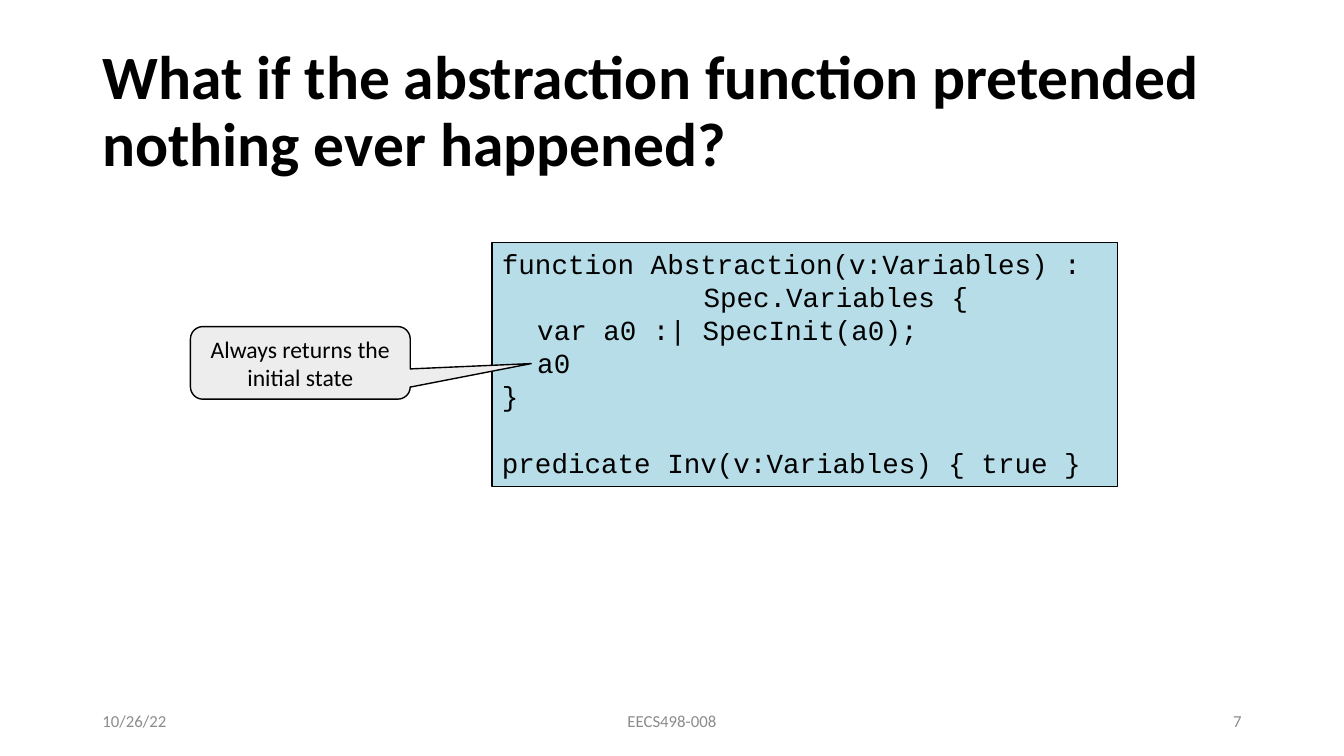
"""Build the slide on an abstraction function that always returns the initial state."""
import pptx
import pptx.dml.color
import pptx.enum.shapes
import pptx.enum.text
import pptx.util

Cm = pptx.util.Cm
Pt = pptx.util.Pt
ALIGN = pptx.enum.text.PP_ALIGN
ANCHOR = pptx.enum.text.MSO_ANCHOR
SHAPE = pptx.enum.shapes.MSO_SHAPE


def color(value):
    return pptx.dml.color.RGBColor.from_string(value)


def add_text(box, text, size, font="Calibri", ink="000000", bold=False, align=ALIGN.LEFT,
             indent=0, before=0, spacing=1.0, anchor=ANCHOR.MIDDLE):
    frame = box.text_frame
    frame.word_wrap = True
    frame.vertical_anchor = anchor
    para = frame.paragraphs[0] if not frame.text else frame.add_paragraph()
    para._p.get_or_add_pPr().set("marL", str(Cm(indent)))
    para.alignment = align
    para.line_spacing = spacing
    if before:
        para.space_before = Pt(before)
    span = para.add_run()
    span.text = text
    span.font.size = Pt(size)
    span.font.name = font
    span.font.bold = bold
    span.font.color.rgb = color(ink)


deck = pptx.Presentation()
deck.slide_width = Cm(33.87)
deck.slide_height = Cm(19.05)
page = deck.slides.add_slide(deck.slide_layouts[6])

code_box = page.shapes.add_shape(SHAPE.RECTANGLE, Cm(12.4), Cm(6.1), Cm(15.77), Cm(6.15))
callout = page.shapes.add_shape(
    SHAPE.ROUNDED_RECTANGULAR_CALLOUT, Cm(4.8), Cm(8.23), Cm(5.54), Cm(1.83))
for box, fill, width in [(code_box, "B7DEE8", 0.75), (callout, "EDEDED", 1)]:
    box.shadow.inherit = False
    box.fill.solid()
    box.fill.fore_color.rgb = color(fill)
    box.line.color.rgb = color("000000")
    box.line.width = Pt(width)

code_lines = [
    ("function Abstraction(v:Variables) :", 0, 0),
    ("Spec.Variables {", 5.08, 0),
    ("var a0 :| SpecInit(a0);", 0.89, 0),
    ("a0", 0.89, 0),
    ("}", 0, 0),
    ("predicate Inv(v:Variables) { true }", 0, 23.6),
]
for line, indent, before in code_lines:
    add_text(code_box, line, 19.7, font="Courier New", indent=indent, before=before,
             anchor=ANCHOR.TOP)

for index, value in enumerate([1.05, 0.01, 0.17]):
    callout.adjustments[index] = value
callout_frame = callout.text_frame
callout_frame.margin_left = callout_frame.margin_right = Cm(0.1)
callout_frame.margin_top = callout_frame.margin_bottom = Cm(0.1)
add_text(callout, "Always returns the initial state", 16.9, align=ALIGN.CENTER)

title = page.shapes.add_textbox(Cm(2.33), Cm(1.01), Cm(29.21), Cm(3.68))
add_text(title, "What if the abstraction function pretended nothing ever happened?", 44,
         bold=True, spacing=0.9)

footers = [
    ("10/26/22", 2.33, 7.62, ALIGN.LEFT),
    ("EECS498-008", 11.22, 11.43, ALIGN.CENTER),
    ("7", 23.92, 7.62, ALIGN.RIGHT),
]
for text, left, width, align in footers:
    footer = page.shapes.add_textbox(Cm(left), Cm(17.66), Cm(width), Cm(1.01))
    add_text(footer, text, 12, ink="8C8C8C", align=align)

deck.save("out.pptx")
